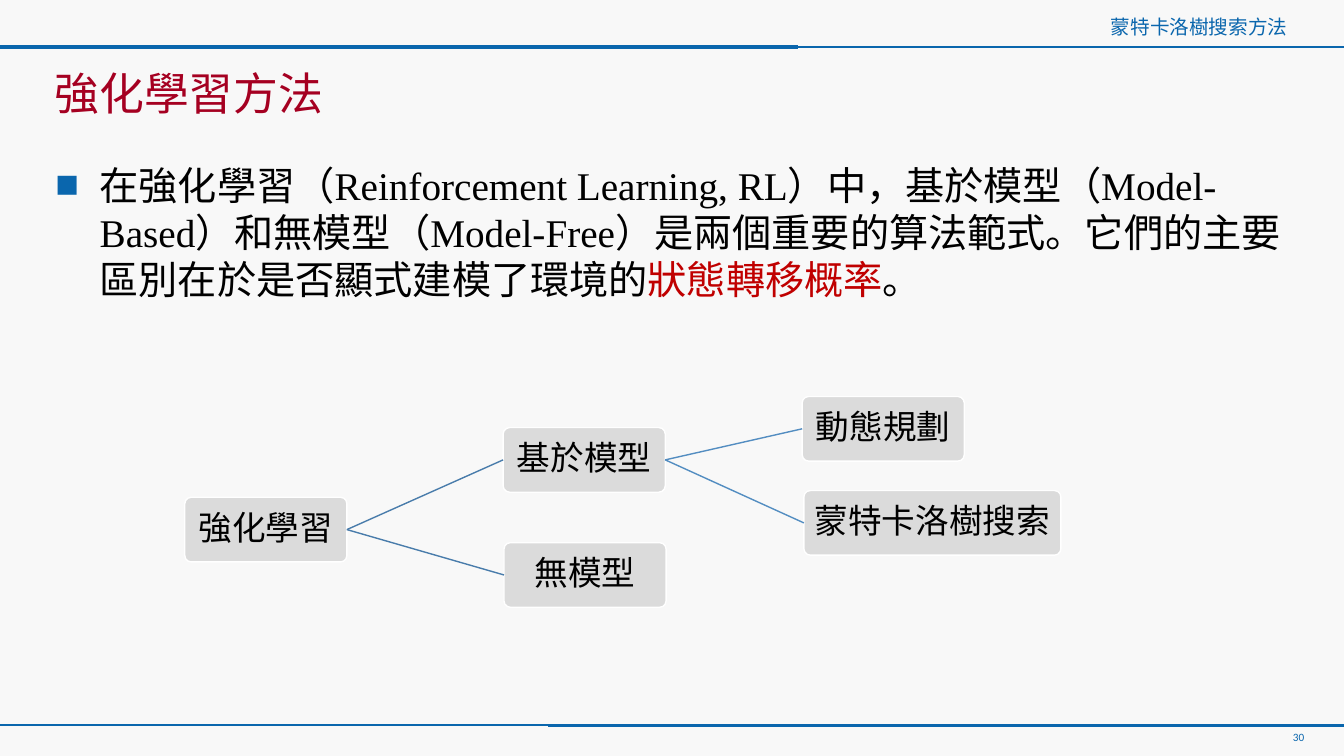
from lxml.etree import SubElement
from pptx import Presentation
from pptx.dml.color import RGBColor
from pptx.enum.shapes import MSO_CONNECTOR, MSO_SHAPE
from pptx.enum.text import MSO_ANCHOR, MSO_AUTO_SIZE, PP_ALIGN
from pptx.oxml.ns import qn
from pptx.util import Inches, Pt

COLORS = {
    "background": "F8F8F8",
    "blue": "0A66AD",
    "title": "A50021",
    "emphasis": "C00000",
    "text": "000000",
    "node": "DBDBDB",
    "outline": "FFFFFF",
    "first_branch": "497CAB",
    "second_branch": "538DC1",
}
SERIF, SANS = "Times New Roman", "Calibri"
COLUMNS, ROWS = 160, 90
LEFT_SITE, RIGHT_SITE = 1, 3
NODE_WIDTH, NODE_HEIGHT = 19.3, 7.7


def color(name):
    return RGBColor.from_string(COLORS[name])


class SlideBuilder:
    def __init__(self, presentation):
        self.column = presentation.slide_width / COLUMNS
        self.row = presentation.slide_height / ROWS
        self.slide = presentation.slides.add_slide(presentation.slide_layouts[5])
        fill = self.slide.background.fill
        fill.solid()
        fill.fore_color.rgb = color("background")

    def box(self, left, top, width, height):
        return (round(left * self.column), round(top * self.row),
                round(width * self.column), round(height * self.row))

    def format_run(self, run, size, font, color_name):
        run.font.size = Pt(size)
        run.font.name = font
        run.font.color.rgb = color(color_name)

    def fill_text(self, shape, parts, size, font, align=PP_ALIGN.LEFT,
                  anchor=MSO_ANCHOR.TOP, spacing=1.0):
        frame = shape.text_frame
        frame.word_wrap = True
        frame.auto_size = MSO_AUTO_SIZE.NONE
        frame.vertical_anchor = anchor
        paragraph = frame.paragraphs[0]
        paragraph.alignment = align
        paragraph.line_spacing = spacing
        paragraph.space_before = Pt(0)
        for text, color_name in parts:
            run = paragraph.add_run()
            run.text = text
            self.format_run(run, size, font, color_name)
        return paragraph

    def title(self, text, place):
        shape = self.slide.shapes.title
        shape.left, shape.top, shape.width, shape.height = self.box(*place)
        self.fill_text(shape, [(text, "blue")], 14, SERIF, PP_ALIGN.RIGHT,
                       MSO_ANCHOR.MIDDLE, 0.9)

    def text(self, parts, place, size, font, **style):
        shape = self.slide.shapes.add_textbox(*self.box(*place))
        return self.fill_text(shape, parts, size, font, **style)

    def bullet(self, paragraph, indent):
        properties = paragraph._p.get_or_add_pPr()
        properties.set("marL", str(Inches(indent)))
        properties.set("indent", str(-Inches(indent)))
        bullet_color = SubElement(properties, qn("a:buClr"))
        SubElement(bullet_color, qn("a:srgbClr"), val=COLORS["blue"])
        SubElement(properties, qn("a:buFont"), typeface=SERIF)
        SubElement(properties, qn("a:buChar"), char="■")
        paragraph.space_after = Pt(6)

    def line(self, color_name, width, start=(0, 0), end=(0, 0)):
        points = [round(value * unit) for point in (start, end)
                  for value, unit in zip(point, (self.column, self.row))]
        connector = self.slide.shapes.add_connector(MSO_CONNECTOR.STRAIGHT, *points)
        connector.line.color.rgb = color(color_name)
        connector.line.width = Pt(width)
        SubElement(connector._element.spPr, qn("a:effectLst"))
        return connector

    def node(self, text, left, top, width=NODE_WIDTH):
        shape = self.slide.shapes.add_shape(
            MSO_SHAPE.ROUNDED_RECTANGLE, *self.box(left, top, width, NODE_HEIGHT))
        shape.adjustments[0] = 0.1
        shape.shadow.inherit = False
        shape.fill.solid()
        shape.fill.fore_color.rgb = color("node")
        shape.line.color.rgb = color("outline")
        shape.line.width = Pt(1)
        frame = shape.text_frame
        frame.margin_left = frame.margin_right = Inches(0.04)
        frame.margin_top = frame.margin_bottom = Inches(0.04)
        self.fill_text(shape, [(text, "text")], 24, SANS, PP_ALIGN.CENTER,
                       MSO_ANCHOR.MIDDLE, 0.9)
        return shape

    def branch(self, parent, child, color_name):
        connector = self.line(color_name, 1)
        connector.begin_connect(parent, RIGHT_SITE)
        connector.end_connect(child, LEFT_SITE)


def main():
    presentation = Presentation()
    presentation.slide_width = Inches(13.33)
    presentation.slide_height = Inches(7.5)
    builder = SlideBuilder(presentation)

    for start, end, row, width in [
        (0, COLUMNS, 5.6, 1),
        (0, 95, 5.6, 2.25),
        (0, COLUMNS, 86.3, 1),
        (65.2, COLUMNS, 86.4, 2.25),
    ]:
        builder.line("blue", width, (start, row), (end, row))

    builder.title("蒙特卡洛樹搜索方法", (6.8, 1.3, 147.7, 4.1))
    builder.text([("強化學習方法", "title")], (5.3, 7.8, 149.2, 6.4), 32, SERIF,
                 anchor=MSO_ANCHOR.MIDDLE)
    paragraph = builder.text(
        [("在強化學習（Reinforcement Learning, RL）中，基於模型（Model-Based）"
          "和無模型（Model-Free）是兩個重要的算法範式。"
          "它們的主要區別在於是否顯式建模了環境的", "text"),
         ("狀態轉移概率", "emphasis"),
         ("。", "text")],
        (5.4, 18.6, 149.2, 20), 28, SERIF)
    builder.bullet(paragraph, 0.44)

    learning = builder.node("強化學習", 22, 59.2)
    model_based = builder.node("基於模型", 59.9, 50.9)
    model_free = builder.node("無模型", 60, 64.6)
    planning = builder.node("動態規劃", 95.5, 47.2)
    tree_search = builder.node("蒙特卡洛樹搜索", 95.7, 58.4, 30.6)
    for parent, child, color_name in [
        (learning, model_based, "first_branch"),
        (learning, model_free, "first_branch"),
        (model_based, planning, "second_branch"),
        (model_based, tree_search, "second_branch"),
    ]:
        builder.branch(parent, child, color_name)

    builder.text([("30", "blue")], (151.3, 86.3, 6.6, 2.5), 8, SANS,
                 align=PP_ALIGN.CENTER)
    presentation.save("out.pptx")


if __name__ == "__main__":
    main()
